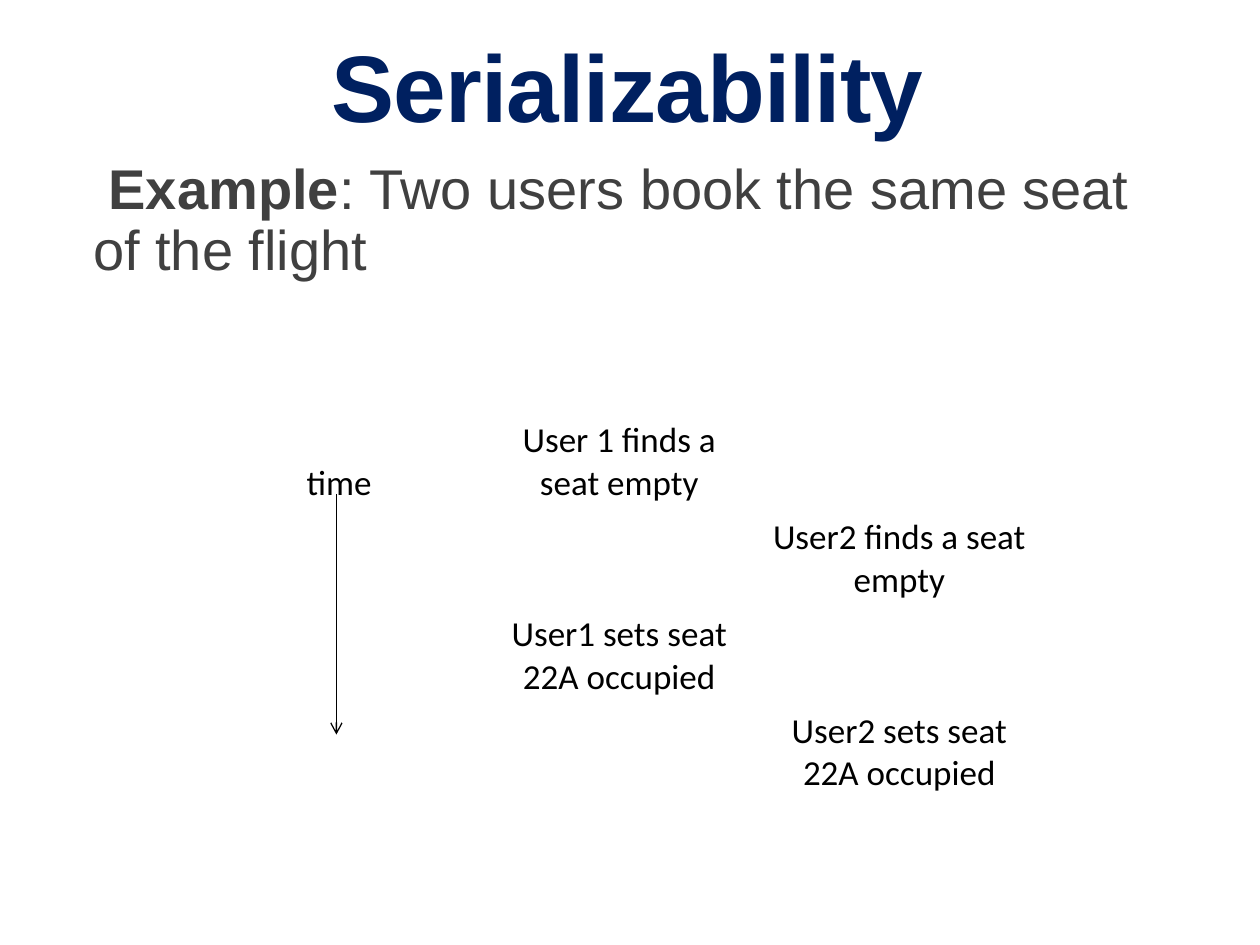
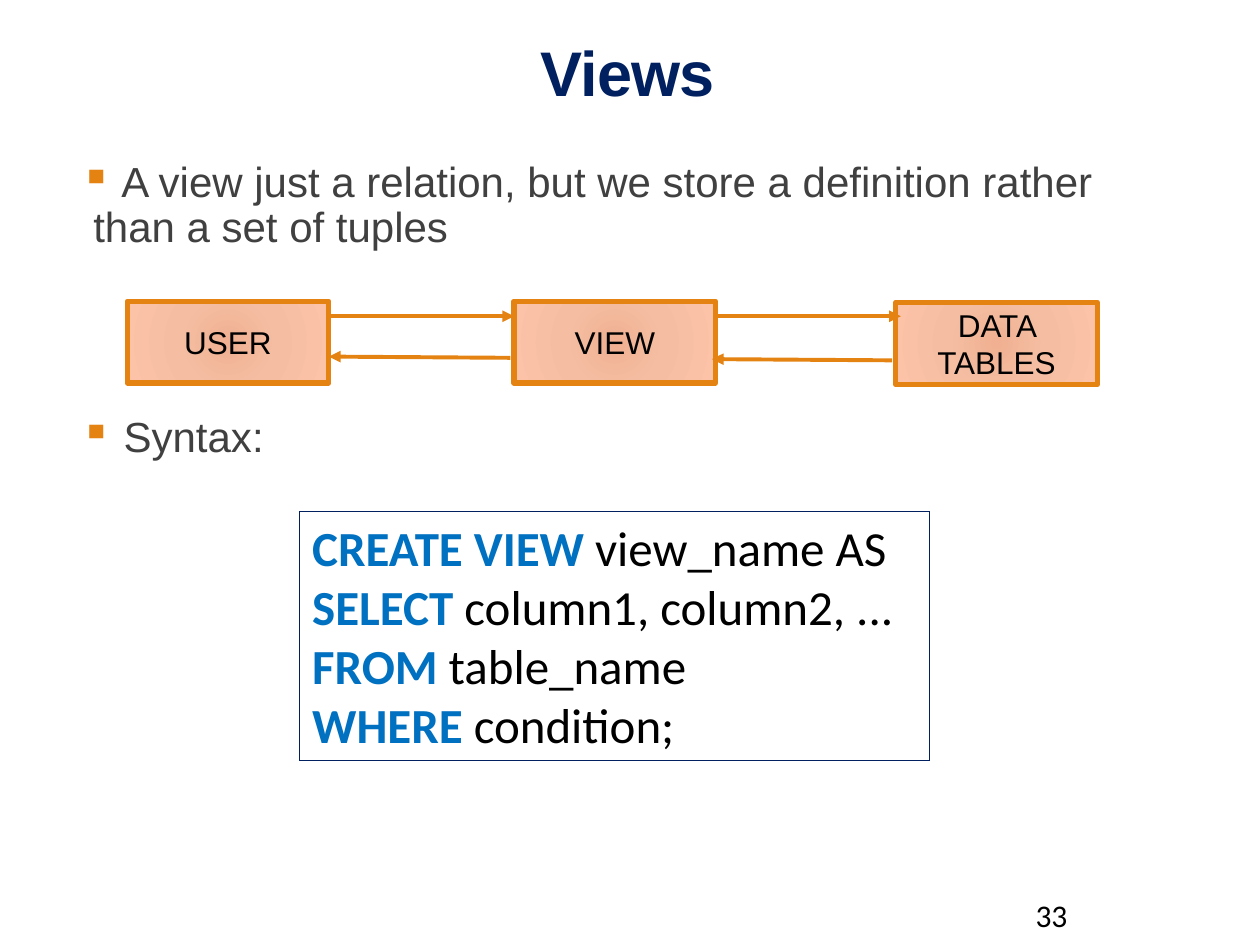
from typing import NamedTuple

from lxml import etree
from pptx import Presentation
from pptx.dml.color import RGBColor
from pptx.enum import shapes, text
from pptx.oxml import parse_xml
from pptx.oxml.ns import nsdecls, qn
from pptx.util import Inches, Pt

NAVY, ORANGE, GREY, BLACK, KEYWORD = "002060", "E48312", "404040", "000000", "0070C0"
HEADING_FONT, DIAGRAM_FONT = "Arial", "Calibri"
NO_TABLE_STYLE = "{2D5ABB26-0587-4C30-8999-92F81FD0307C}"
BOX_GRADIENT = ((0, "F0B091"), (45, "F5BEA3"), (100, "FCC3A8"))
CENTER = text.PP_ALIGN.CENTER


class Area(NamedTuple):
    left: float
    top: float
    width: float
    height: float


class Run(NamedTuple):
    text: str
    bold: bool = False
    color: str = BLACK


class Box(NamedTuple):
    label: str
    left: float
    top: float


class Arrow(NamedTuple):
    start: tuple[float, float]
    end: tuple[float, float]
    color: str = ORANGE
    width: float = 2.25
    head: str = "triangle"


class Step(NamedTuple):
    row: int
    column: int
    label: str


TITLE_AREA = Area(0.64, 0.31, 8.68, 0.92)
BOX_WIDTH, BOX_HEIGHT = 1.6, 0.65

BOOKING_STEPS = (
    Step(0, 1, "User 1 finds a seat empty"),
    Step(1, 2, "User2 finds a seat empty"),
    Step(2, 1, "User1 sets seat 22A occupied"),
    Step(3, 2, "User2 sets seat 22A occupied"),
)
VIEW_BOXES = (
    Box("USER", 1.01, 2.39),
    Box("VIEW", 4.08, 2.39),
    Box("DATA TABLES", 7.11, 2.4),
)
VIEW_ARROWS = (
    Arrow((2.61, 2.51), (4.08, 2.51)),
    Arrow((5.68, 2.51), (7.15, 2.51)),
    Arrow((7.08, 2.86), (5.65, 2.85)),
    Arrow((4.05, 2.84), (2.61, 2.83)),
)
SYNTAX_LINES = (
    ("CREATE VIEW", " view_name AS"),
    ("SELECT ", "column1, column2, ..."),
    ("FROM ", "table_name"),
    ("WHERE ", "condition;"),
)


def rgb(value: str) -> RGBColor:
    return RGBColor.from_string(value)


def style(paragraph, font: str, size: float, color: str = BLACK, bold: bool = False) -> None:
    paragraph.font.name = font
    paragraph.font.size = Pt(size)
    paragraph.font.color.rgb = rgb(color)
    paragraph.font.bold = bold


def add_text_box(slide, area: Area):
    shape = slide.shapes.add_textbox(*map(Inches, area))
    shape.text_frame.word_wrap = True
    return shape


def add_paragraph(frame, first: bool):
    return frame.paragraphs[0] if first else frame.add_paragraph()


def add_runs(paragraph, runs: tuple[Run, ...], font: str, size: float) -> None:
    paragraph.font.name = font
    paragraph.font.size = Pt(size)
    for item in runs:
        run = paragraph.add_run()
        run.text = item.text
        run.font.name = font
        run.font.size = Pt(size)
        run.font.bold = item.bold
        run.font.color.rgb = rgb(item.color)


def add_title(slide, title: str, size: float) -> None:
    frame = add_text_box(slide, TITLE_AREA).text_frame
    paragraph = frame.paragraphs[0]
    paragraph.alignment = CENTER
    paragraph.line_spacing = 0.85
    run = paragraph.add_run()
    run.text = title
    style(run, HEADING_FONT, size, NAVY, True)
    run.font._element.set("spc", "-50")


def add_bullets(slide, height: float, bullet: str, size: float,
                items: tuple[tuple[Run, ...], ...], gap: float = 12) -> None:
    frame = add_text_box(slide, Area(0.64, 1.23, 8.68, height)).text_frame
    frame.margin_left = frame.margin_right = 0
    for index, runs in enumerate(items):
        paragraph = add_paragraph(frame, index == 0)
        paragraph.line_spacing = 0.9
        paragraph.space_before = Pt(gap if index else 12)
        paragraph.space_after = Pt(2)
        properties = paragraph._p.get_or_add_pPr()
        properties.set("marL", str(Inches(0.1)))
        properties.set("indent", str(-Inches(0.1)))
        color = etree.SubElement(properties, qn("a:buClr"))
        etree.SubElement(color, qn("a:srgbClr"), val=ORANGE)
        etree.SubElement(properties, qn("a:buChar"), char=bullet)
        add_runs(paragraph, runs, HEADING_FONT, size)


def add_arrow(slide, arrow: Arrow) -> None:
    connector = slide.shapes.add_connector(
        shapes.MSO_CONNECTOR.STRAIGHT, *map(Inches, arrow.start + arrow.end))
    connector.line.color.rgb = rgb(arrow.color)
    connector.line.width = Pt(arrow.width)
    etree.SubElement(connector.line._get_or_add_ln(), qn("a:tailEnd"), type=arrow.head)
    etree.SubElement(connector._element.spPr, qn("a:effectLst"))


def add_box(slide, box: Box) -> None:
    shape = slide.shapes.add_shape(
        shapes.MSO_SHAPE.RECTANGLE,
        *map(Inches, (box.left, box.top, BOX_WIDTH, BOX_HEIGHT)))
    shape.shadow.inherit = False
    shape.fill.background()
    stops = "".join(
        f'<a:gs pos="{position * 1000}"><a:srgbClr val="{color}"/></a:gs>'
        for position, color in BOX_GRADIENT)
    gradient = parse_xml(
        f'<a:gradFill {nsdecls("a")}><a:gsLst>{stops}</a:gsLst><a:path path="circle">'
        '<a:fillToRect l="50000" t="50000" r="50000" b="50000"/></a:path></a:gradFill>')
    properties = shape._element.spPr
    properties.replace(properties.find(qn("a:noFill")), gradient)
    shape.line.color.rgb = rgb(ORANGE)
    shape.line.width = Pt(3)
    paragraph = shape.text_frame.paragraphs[0]
    paragraph.text = box.label
    paragraph.alignment = CENTER
    style(paragraph, HEADING_FONT, 18)


def fill_cell(cell, label: str) -> None:
    paragraph = cell.text_frame.paragraphs[0]
    paragraph.text = label
    paragraph.alignment = CENTER
    style(paragraph, DIAGRAM_FONT, 20)


def add_schedule(slide) -> None:
    rows, columns = 4, 3
    table = slide.shapes.add_table(
        rows, columns, *map(Inches, (1.58, 3.28, 6.67, rows * 0.41))).table
    table.first_row = table.horz_banding = False
    table._tbl.tblPr[0].text = NO_TABLE_STYLE
    for cell in table.iter_cells():
        cell.fill.background()
    time_cell = table.cell(0, 0)
    time_cell.merge(table.cell(rows - 1, 0))
    time_cell.margin_top = Inches(0.39)
    fill_cell(time_cell, "time")
    for step in BOOKING_STEPS:
        fill_cell(table.cell(step.row, step.column), step.label)


def add_syntax(slide) -> None:
    shape = add_text_box(slide, Area(2.38, 4.06, 5, 1.98))
    shape.line.color.rgb = rgb(NAVY)
    shape.line.width = Pt(0)
    for index, (keyword, rest) in enumerate(SYNTAX_LINES):
        paragraph = add_paragraph(shape.text_frame, index == 0)
        add_runs(paragraph, (Run(keyword, True, KEYWORD), Run(rest)), DIAGRAM_FONT, 28)


def add_page_number(slide, number: str) -> None:
    frame = add_text_box(slide, Area(8.12, 7.06, 1.08, 0.4)).text_frame
    frame.vertical_anchor = text.MSO_ANCHOR.MIDDLE
    paragraph = frame.paragraphs[0]
    paragraph.text = number
    style(paragraph, DIAGRAM_FONT, 18)


def build_serializability(slide) -> None:
    add_bullets(slide, 5.54, " ", 32, ((
        Run("Example", True, GREY),
        Run(": Two users book the same seat of the flight", color=GREY)),))
    add_title(slide, "Serializability", 54)
    add_schedule(slide)
    add_arrow(slide, Arrow((2.67, 3.92), (2.67, 5.83), BLACK, 0.75, "arrow"))


def build_views(slide) -> None:
    add_title(slide, "Views", 36)
    definition = " A view just a relation, but we store a definition rather than a set of tuples"
    add_bullets(slide, 4.28, "▪", 24, (
        (Run(definition, color=GREY),), (Run(" Syntax:", color=GREY),)), gap=92)
    for box in VIEW_BOXES:
        add_box(slide, box)
    for arrow in VIEW_ARROWS:
        add_arrow(slide, arrow)
    add_syntax(slide)
    add_page_number(slide, "33")


def main() -> None:
    presentation = Presentation()
    presentation.slide_width, presentation.slide_height = Inches(10), Inches(7.5)
    for build in (build_serializability, build_views):
        build(presentation.slides.add_slide(presentation.slide_layouts[6]))
    presentation.save("out.pptx")


if __name__ == "__main__":
    main()
